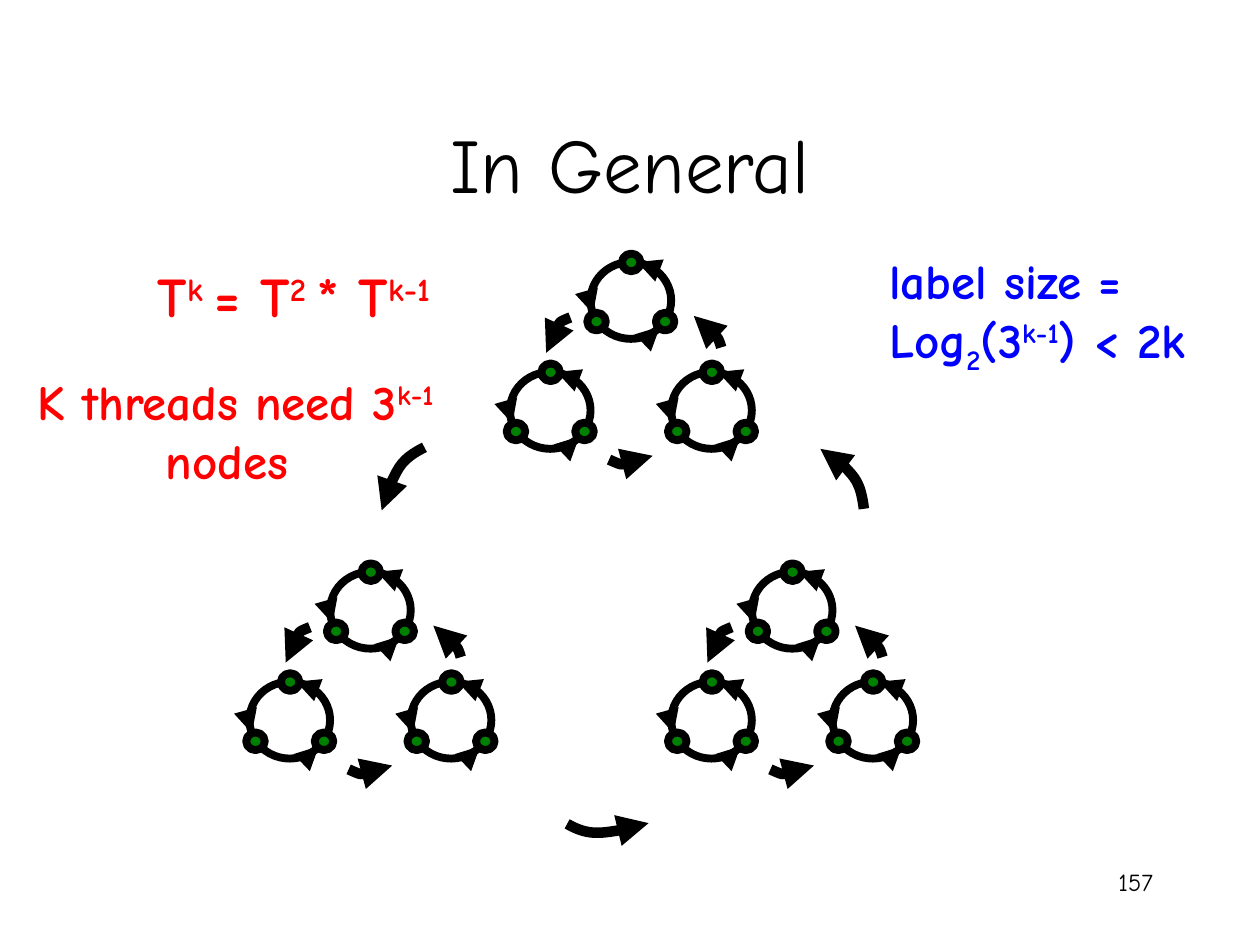
from dataclasses import dataclass

from lxml import etree
from pptx import Presentation
from pptx.dml.color import RGBColor
from pptx.enum.shapes import MSO_CONNECTOR, MSO_SHAPE
from pptx.enum.text import MSO_ANCHOR, PP_ALIGN
from pptx.oxml.ns import qn
from pptx.util import Inches, Pt

OVAL = MSO_SHAPE.OVAL
STRAIGHT = MSO_CONNECTOR.STRAIGHT
MIDDLE = MSO_ANCHOR.MIDDLE
LEFT, CENTER, RIGHT = PP_ALIGN.LEFT, PP_ALIGN.CENTER, PP_ALIGN.RIGHT


@dataclass(frozen=True)
class Theme:
    font: str = "Comic Neue"
    black: RGBColor = RGBColor(0, 0, 0)
    white: RGBColor = RGBColor(255, 255, 255)
    red: RGBColor = RGBColor(255, 0, 0)
    blue: RGBColor = RGBColor(0, 0, 255)
    green: RGBColor = RGBColor(0, 128, 0)
    title_size: int = 44
    formula_size: int = 32
    note_size: int = 28
    number_size: int = 14
    ring_line: float = 4.5
    arc_line: float = 6


THEME = Theme()
SLIDE_W, SLIDE_H = 10, 7.5
COL, ROW = 0.64, 0.61
SUPER, SUB = 30, -25

DIAGRAM_ORIGIN = (1.98, 2.08)
CLUSTER_CELLS = [(5.23, 4.03), (0, 4.03), (3.23, 0)]
RING_CELLS = [(0, 1.43), (2, 1.43), (1, 0)]
NODE_SIZE = 0.23
NODE_CELLS = [(0.39, -0.11), (0.81, 0.66), (-0.04, 0.66)]
RING_ARROWS = [
    ((0, 0.56), (0.03, 0.67)),
    ((0.78, 0.92), (0.86, 0.84)),
    ((0.73, 0.06), (0.58, 0)),
]
CLUSTER_ARCS = [
    [(0.75, 0.72), (0.58, 0.79), (0.48, 0.95), (0.45, 1.18)],
    [(2.62, 1.11), (2.58, 0.97), (2.47, 0.8), (2.28, 0.7)],
    [(1.23, 2.57), (1.42, 2.66), (1.58, 2.65), (1.77, 2.52)],
]
DIAGRAM_ARCS = [
    [(2.17, 2.41), (1.89, 2.56), (1.73, 2.84), (1.64, 3.23)],
    [(7.62, 3.21), (7.58, 2.87), (7.39, 2.59), (7.08, 2.43)],
    [(3.94, 7.31), (4.19, 7.46), (4.53, 7.44), (4.95, 7.3)],
]


def at_cell(origin, cell):
    return origin[0] + cell[0] * COL, origin[1] + cell[1] * ROW


def emu(point):
    return Inches(point[0]), Inches(point[1])


def style_line(shape, width):
    shape.line.color.rgb = THEME.black
    shape.line.width = Pt(width)


def add_arrowhead(shape):
    etree.SubElement(shape.line._get_or_add_ln(), qn("a:tailEnd"), type="triangle")


def draw_oval(shapes, origin, size, fill):
    oval = shapes.add_shape(OVAL, *emu(origin), Inches(size * COL), Inches(size * ROW))
    oval.shadow.inherit = False
    oval.fill.solid()
    oval.fill.fore_color.rgb = fill
    style_line(oval, THEME.ring_line)


def draw_arc(shapes, origin, cells):
    start, *rest = [emu(at_cell(origin, cell)) for cell in cells]
    builder = shapes.build_freeform(*start)
    builder.add_line_segments(rest, close=False)
    arc = builder.convert_to_shape()
    outline = arc._element.find(".//" + qn("a:path"))
    curve = etree.SubElement(outline, qn("a:cubicBezTo"))
    for segment in outline.findall(qn("a:lnTo")):
        curve.append(segment[0])
        outline.remove(segment)
    arc.shadow.inherit = False
    arc.fill.background()
    style_line(arc, THEME.arc_line)
    add_arrowhead(arc)


def draw_ring(shapes, origin):
    draw_oval(shapes, origin, 1, THEME.white)
    for cell in NODE_CELLS:
        draw_oval(shapes, at_cell(origin, cell), NODE_SIZE, THEME.green)
    for start, end in RING_ARROWS:
        arrow = shapes.add_connector(
            STRAIGHT, *emu(at_cell(origin, start)), *emu(at_cell(origin, end)))
        style_line(arrow, THEME.ring_line)
        add_arrowhead(arrow)
        etree.SubElement(arrow._element.spPr, qn("a:effectLst"))


def draw_cluster(shapes, origin):
    cluster = shapes.add_group_shape().shapes
    for cell in RING_CELLS:
        draw_ring(cluster, at_cell(origin, cell))
    for arc in CLUSTER_ARCS:
        draw_arc(cluster, origin, arc)


def draw_diagram(shapes, origin):
    for cell in CLUSTER_CELLS:
        draw_cluster(shapes, at_cell(origin, cell))
    for arc in DIAGRAM_ARCS:
        draw_arc(shapes, origin, arc)


def style_font(font, size, color, bold=False):
    font.name = THEME.font
    font.size = Pt(size)
    font.color.rgb = color
    font.bold = bold


def write_title(slide, box):
    title = slide.shapes.title
    title.left, title.top, title.width, title.height = map(Inches, box)
    title.text_frame.text = "In General"
    title.text_frame.vertical_anchor = MIDDLE
    heading = title.text_frame.paragraphs[0]
    heading.alignment = CENTER
    style_font(heading.runs[0].font, THEME.title_size, THEME.black)


def write_text(slide, box, lines, size, color, align, bold=True, wrap=True):
    frame = slide.shapes.add_textbox(*map(Inches, box)).text_frame
    frame.word_wrap = wrap
    for index, pieces in enumerate(lines):
        paragraph = frame.add_paragraph() if index else frame.paragraphs[0]
        paragraph.alignment = align
        for text, shift in pieces:
            run = paragraph.add_run()
            run.text = text
            style_font(run.font, size, color, bold)
            if shift:
                run._r.get_or_add_rPr().set("baseline", str(shift * 1000))


def main():
    deck = Presentation()
    deck.slide_width, deck.slide_height = Inches(SLIDE_W), Inches(SLIDE_H)
    slide = deck.slides.add_slide(deck.slide_layouts[5])

    write_title(slide, (0.75, 0.67, 8.5, 1.25))
    write_text(slide, (7.17, 6.83, 2.08, 0.5), [[("157", 0)]],
               THEME.number_size, THEME.black, RIGHT, bold=False)
    formula = [("T", 0), ("k ", SUPER), ("= T", 0), ("2 ", SUPER),
               ("* T", 0), ("k-1", SUPER)]
    write_text(slide, (0.38, 2.03, 3.13, 0.63), [formula],
               THEME.formula_size, THEME.red, RIGHT, wrap=False)
    draw_diagram(slide.shapes, DIAGRAM_ORIGIN)
    node_count = [("K threads need 3", 0), ("k-1 ", SUPER), ("nodes ", 0)]
    write_text(slide, (-0.02, 2.9, 3.78, 1.03), [node_count],
               THEME.note_size, THEME.red, CENTER)
    label_size = [("Log", 0), ("2", SUB), ("(3", 0), ("k-1", SUPER), (") < 2k", 0)]
    write_text(slide, (6.96, 1.94, 2.56, 1.51), [[("label size =", 0)], label_size],
               THEME.note_size, THEME.blue, LEFT)

    deck.save("out.pptx")


if __name__ == "__main__":
    main()
